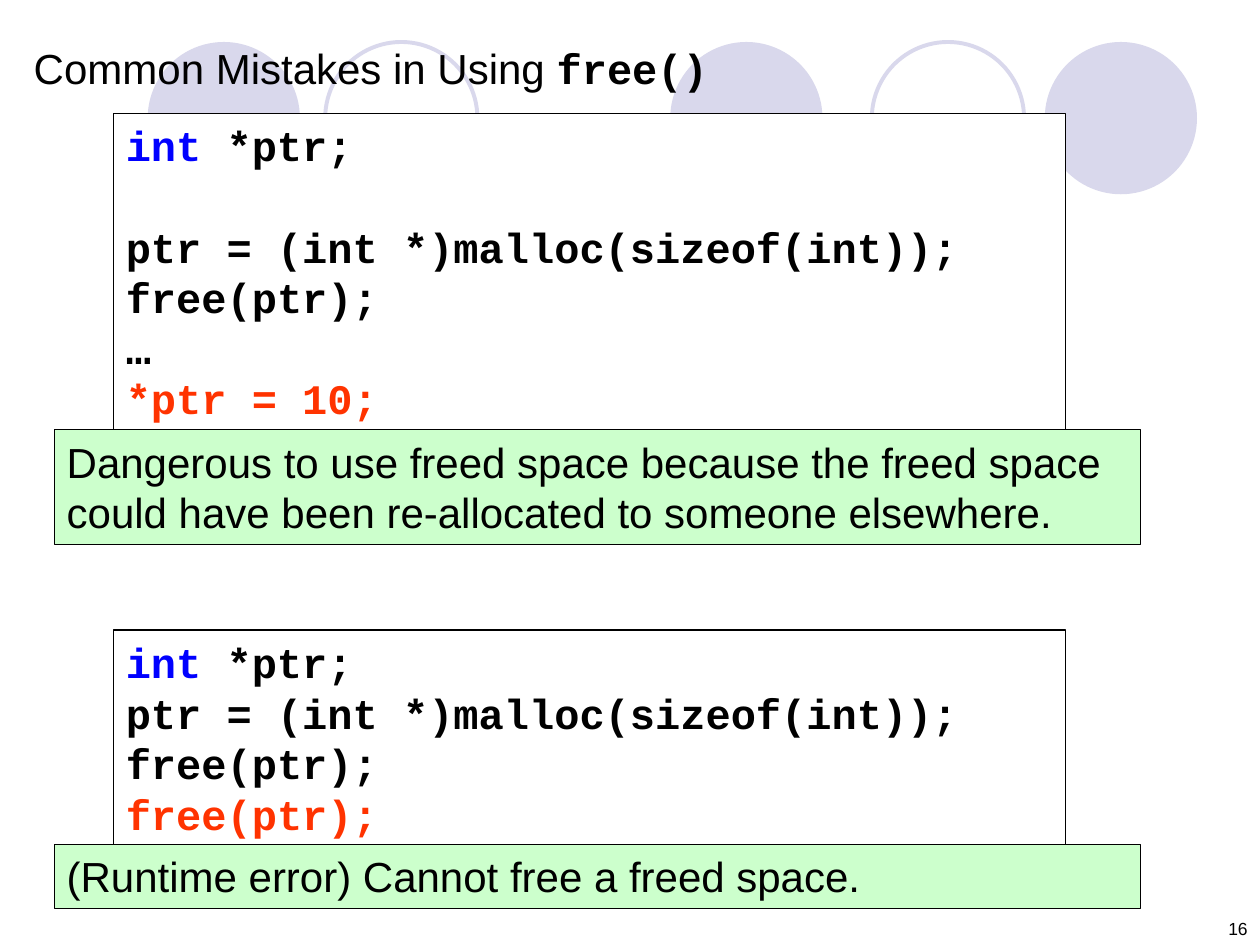
from pptx import Presentation
from pptx.dml.color import RGBColor
from pptx.enum import shapes, text
from pptx.util import Pt

BLACK = RGBColor(0, 0, 0)
WHITE = RGBColor(255, 255, 255)
BLUE = RGBColor(0, 0, 255)
RED = RGBColor(255, 51, 0)
GREEN = RGBColor(204, 255, 204)
LILAC = RGBColor(217, 216, 236)
SANS, MONO = "Arial", "Courier New"
SIZE, PITCH = 24, 28.9

# Content: each line is (space before, runs); each run is (text, colour)
DECLARE = (0, [("int", BLUE), (" *ptr;", BLACK)])
ALLOC = "ptr = (int *)malloc(sizeof(int));"
FREE = (0, [("free(ptr);", BLACK)])
CODES = [
    (64.8, 180.7, [DECLARE, (PITCH, [(ALLOC, BLACK)]), FREE,
                   (0, [("…", BLACK)]), (0, [("*ptr = 10;", RED)])]),
    (360, 123.1, [DECLARE, (0, [(ALLOC, BLACK)]), FREE,
                  (0, [("free(ptr);", RED)])]),
]
NOTES = [
    (482.6, 36.7, "(Runtime error) Cannot free a freed space."),
    (245.5, 65.5, "Dangerous to use freed space because the freed space "
                  "could have been re-allocated to someone elsewhere."),
]
TITLE = [("Common Mistakes in Using ", SANS), ("free()", MONO)]
PAGE = "16"
DISCS = [(383, True), (597, True), (84.4, True), (498.2, False), (185.8, False)]

deck = Presentation()
deck.slide_width, deck.slide_height = Pt(720), Pt(540)
slide = deck.slides.add_slide(deck.slide_layouts[6])


def add_run(para, words, font, size=SIZE, color=BLACK):
    run = para.add_run()
    run.text = words
    run.font.name, run.font.size = font, Pt(size)
    run.font.bold = font == MONO
    run.font.color.rgb = color


def add_shape(kind, x, y, w, h, fill, line, width):
    shape = slide.shapes.add_shape(kind, Pt(x), Pt(y), Pt(w), Pt(h))
    shape.shadow.inherit = False
    if fill is None:
        shape.fill.background()
    else:
        shape.fill.solid()
        shape.fill.fore_color.rgb = fill
    if line is None:
        shape.line.fill.background()
    else:
        shape.line.color.rgb, shape.line.width = line, Pt(width)
    return shape


def add_box(x, y, w, h, fill):
    box = add_shape(shapes.MSO_SHAPE.RECTANGLE, x, y, w, h, fill, BLACK, 0.75)
    frame = box.text_frame
    frame.word_wrap = True
    frame.vertical_anchor = text.MSO_ANCHOR.TOP
    return frame


def add_para(frame, first):
    para = frame.paragraphs[0] if first else frame.add_paragraph()
    para.alignment = text.PP_ALIGN.LEFT
    para.line_spacing = Pt(PITCH)
    return para


# Background discs
for x, full in DISCS:
    add_shape(shapes.MSO_SHAPE.OVAL, x, 24, 87, 87, LILAC if full else None,
              None if full else LILAC, 2.25)

# Page number
num = slide.shapes.add_textbox(Pt(552), Pt(504), Pt(168), Pt(36)).text_frame
num.word_wrap = True
num.vertical_anchor = text.MSO_ANCHOR.BOTTOM
num.paragraphs[0].alignment = text.PP_ALIGN.RIGHT
add_run(num.paragraphs[0], PAGE, SANS, 10)

# Code boxes
for y, h, lines in CODES:
    frame = add_box(64.8, y, 544.3, h, WHITE)
    for i, (gap, runs) in enumerate(lines):
        para = add_para(frame, i == 0)
        if gap:
            para.space_before = Pt(gap)
        for words, color in runs:
            add_run(para, words, MONO, color=color)

# Green notes
for y, h, words in NOTES:
    add_run(add_para(add_box(31, y, 620.6, h, GREEN), True), words, SANS)

# Title
head = slide.shapes.add_textbox(Pt(12.2), Pt(20.9), Pt(577.4), Pt(36)).text_frame
head.word_wrap = True
para = add_para(head, True)
for words, font in TITLE:
    add_run(para, words, font)

deck.save("out.pptx")
